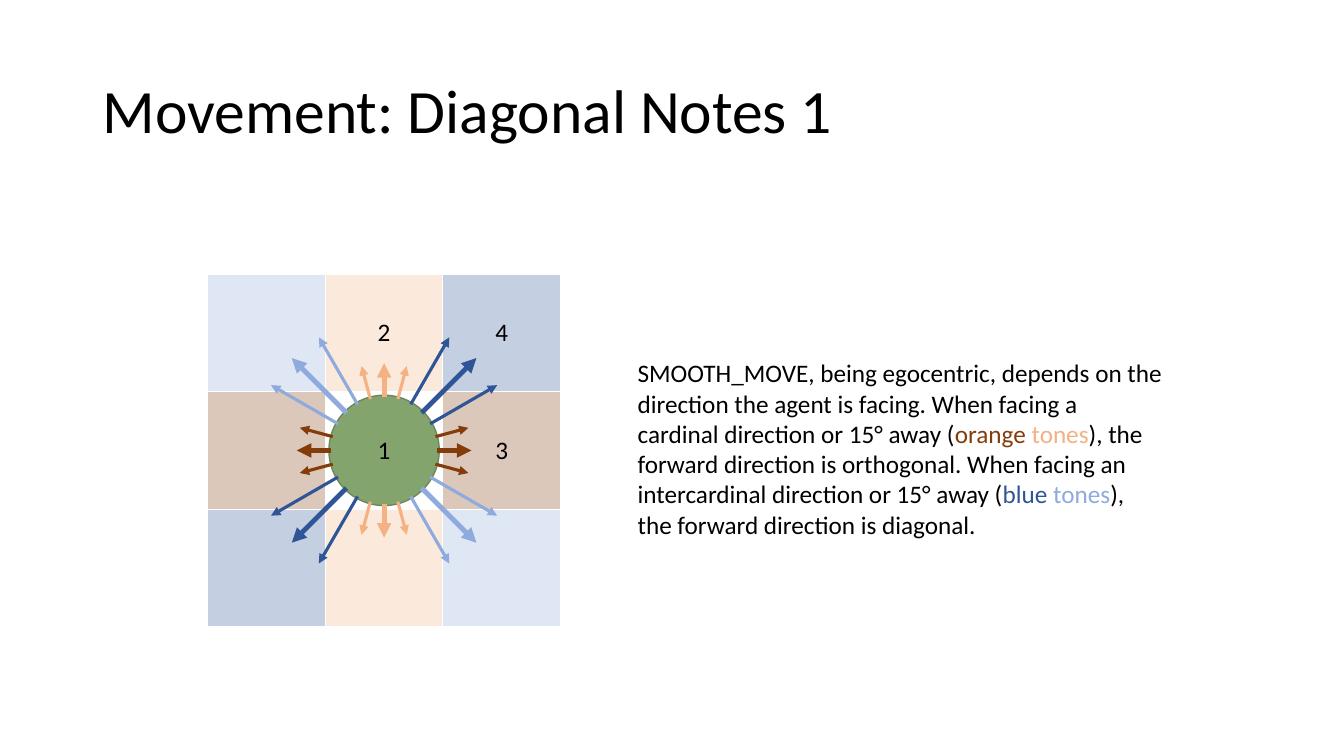
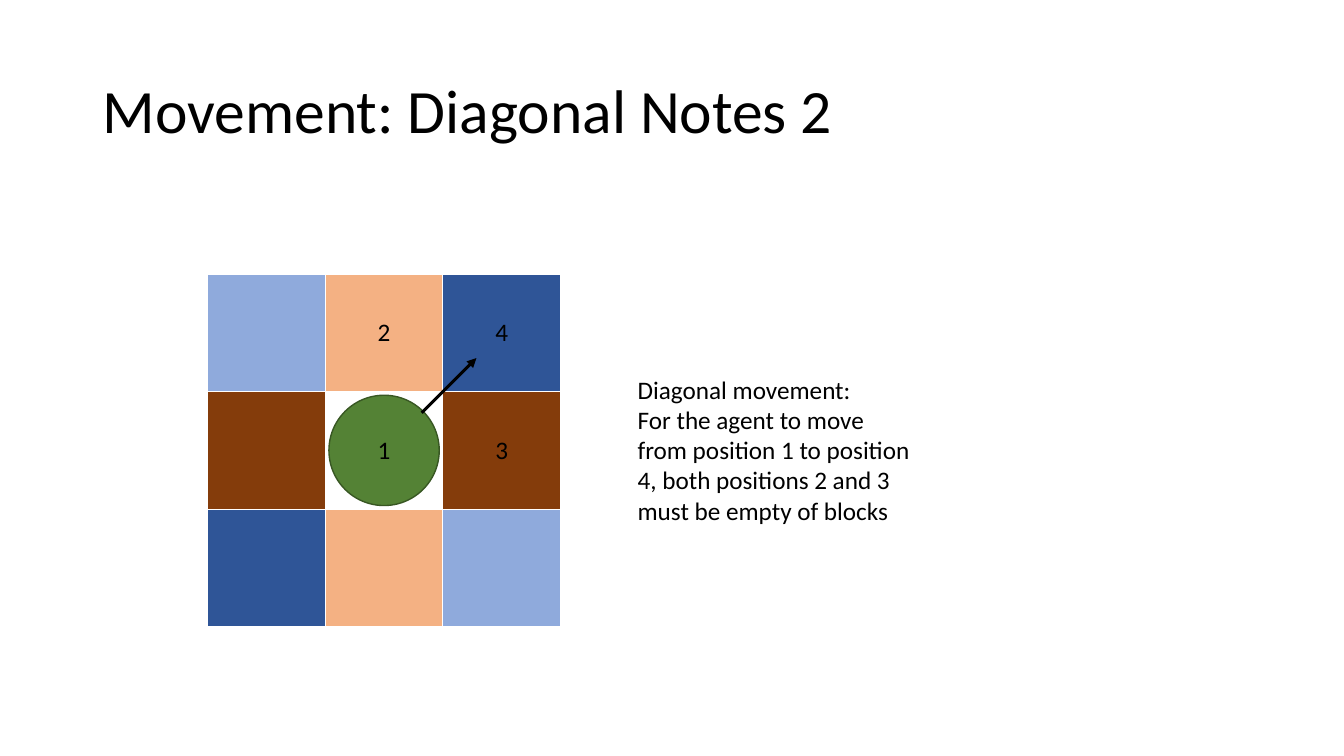
import math

from pptx import Presentation
from pptx import util as u
from pptx.dml.color import RGBColor
from pptx.enum import shapes, text
from pptx.oxml import ns, xmlchemy

BLACK = RGBColor(0x00, 0x00, 0x00)
WHITE = RGBColor(0xFF, 0xFF, 0xFF)
GREEN = RGBColor(0x54, 0x82, 0x35)
DARK_GREEN = RGBColor(0x38, 0x57, 0x23)
PEACH = RGBColor(0xF4, 0xB1, 0x83)
BROWN = RGBColor(0x84, 0x3C, 0x0B)
NAVY = RGBColor(0x2F, 0x55, 0x97)
SKY = RGBColor(0x8F, 0xAA, 0xDC)

CENTER_X, CENTER_Y = 9.68, 11.35
GRID_SIZE = 8.89
AGENT_SIZE = 2.78
ARROW_START = 1.34
CARDINAL_END = 2.2
DIAGONAL_END = 3.29
THICK, THIN = 3.5, 2.25

GRID = [
    [(SKY, ""), (PEACH, "2"), (NAVY, "4")],
    [(BROWN, ""), (None, "1"), (BROWN, "3")],
    [(NAVY, ""), (PEACH, ""), (SKY, "")],
]
DIRECTION_COLORS = [BROWN, NAVY, PEACH, SKY]


def add_element(parent, tag, **attributes):
    element = xmlchemy.OxmlElement(tag)
    for name, value in attributes.items():
        element.set(name, str(value))
    parent.append(element)
    return element


class NotesDeck:
    font = "Calibri"
    title_size = 44
    body_size = 18

    def __init__(self):
        self.deck = Presentation()
        self.deck.slide_width = u.Cm(33.87)
        self.deck.slide_height = u.Cm(19.05)
        self.page = None

    def add_span(self, para, words, size, color=BLACK):
        span = para.add_run()
        span.text = words
        span.font.name = self.font
        span.font.size = u.Pt(size)
        span.font.color.rgb = color

    def add_page(self, title):
        self.page = self.deck.slides.add_slide(self.deck.slide_layouts[5])
        box = self.page.shapes.title
        box.left, box.top = u.Cm(2.33), u.Cm(1.01)
        box.width, box.height = u.Cm(29.21), u.Cm(3.68)
        frame = box.text_frame
        frame.auto_size = text.MSO_AUTO_SIZE.NONE
        frame.vertical_anchor = text.MSO_ANCHOR.MIDDLE
        para = frame.paragraphs[0]
        para.alignment = text.PP_ALIGN.LEFT
        para.line_spacing = 0.9
        self.add_span(para, title, self.title_size)

    def add_agent(self):
        agent = self.page.shapes.add_shape(
            shapes.MSO_SHAPE.OVAL,
            u.Cm(CENTER_X - AGENT_SIZE / 2), u.Cm(CENTER_Y - AGENT_SIZE / 2),
            u.Cm(AGENT_SIZE), u.Cm(AGENT_SIZE))
        agent.shadow.inherit = False
        agent.fill.solid()
        agent.fill.fore_color.rgb = GREEN
        agent.line.color.rgb = DARK_GREEN
        agent.line.width = u.Pt(1)

    def add_grid(self, center_color=None, opacity=None):
        table = self.page.shapes.add_table(
            3, 3,
            u.Cm(CENTER_X - GRID_SIZE / 2), u.Cm(CENTER_Y - GRID_SIZE / 2),
            u.Cm(GRID_SIZE), u.Cm(GRID_SIZE)).table
        table.first_row = False
        table.horz_banding = False
        for row, entries in enumerate(GRID):
            for column, (color, label) in enumerate(entries):
                cell = table.cell(row, column)
                self.fill_cell(cell, color or center_color, opacity)
                if label:
                    cell.vertical_anchor = text.MSO_ANCHOR.MIDDLE
                    para = cell.text_frame.paragraphs[0]
                    para.alignment = text.PP_ALIGN.CENTER
                    self.add_span(para, label, self.body_size)

    def fill_cell(self, cell, color, opacity):
        properties = cell._tc.get_or_add_tcPr()
        for side in "LRTB":
            border = add_element(properties, f"a:ln{side}", w=u.Pt(1))
            fill = add_element(border, "a:solidFill")
            add_element(fill, "a:srgbClr", val=WHITE)
        if color is None:
            cell.fill.background()
        else:
            cell.fill.solid()
            cell.fill.fore_color.rgb = color
        fill = properties.find(ns.qn("a:solidFill"))
        if fill is not None and opacity is not None:
            add_element(fill[0], "a:alpha", val=opacity * 1000)
        if fill is not None:
            properties.remove(fill)
            properties.append(fill)

    def add_arrow(self, angle, end, color, width):
        across = math.cos(math.radians(angle))
        up = math.sin(math.radians(angle))
        points = [u.Cm(length) for radius in (ARROW_START, end)
                  for length in (CENTER_X + radius * across, CENTER_Y - radius * up)]
        arrow = self.page.shapes.add_connector(shapes.MSO_CONNECTOR.STRAIGHT, *points)
        arrow.line.color.rgb = color
        arrow.line.width = u.Pt(width)
        add_element(arrow.line._get_or_add_ln(), "a:tailEnd", type="triangle")
        add_element(arrow._element.spPr, "a:effectLst")

    def add_facing_arrows(self):
        for step in range(8):
            color = DIRECTION_COLORS[step % 4]
            end = DIAGONAL_END if step % 2 else CARDINAL_END
            for offset, width in ((-15, THIN), (0, THICK), (15, THIN)):
                self.add_arrow(step * 45 + offset, end, color, width)

    def add_text(self, top, width, height, paragraphs):
        box = self.page.shapes.add_textbox(
            u.Cm(15.82), u.Cm(top), u.Cm(width), u.Cm(height))
        frame = box.text_frame
        frame.word_wrap = True
        for index, spans in enumerate(paragraphs):
            para = frame.add_paragraph() if index else frame.paragraphs[0]
            for words, color in spans:
                self.add_span(para, words, self.body_size, color)


def main():
    notes = NotesDeck()

    notes.add_page("Movement: Diagonal Notes 1")
    notes.add_agent()
    notes.add_grid(center_color=WHITE, opacity=28)
    notes.add_facing_arrows()
    notes.add_text(8.89, 13.72, 4.88, [[
        ("SMOOTH_MOVE, being egocentric, depends on the direction the agent is "
         "facing. When facing a cardinal direction or 15° away (", BLACK),
        ("orange ", BROWN),
        ("tones", PEACH),
        ("), the forward direction is orthogonal. When facing an intercardinal "
         "direction or 15° away (", BLACK),
        ("blue ", NAVY),
        ("tones", SKY),
        ("), the forward direction is diagonal.", BLACK),
    ]])

    notes.add_page("Movement: Diagonal Notes 2")
    notes.add_agent()
    notes.add_grid()
    notes.add_arrow(45, DIAGONAL_END, BLACK, THIN)
    notes.add_text(9.3, 7.44, 4.11, [
        [("Diagonal movement:", BLACK)],
        [("For the agent to move from position 1 to position 4, both positions "
          "2 and 3 must be empty of blocks", BLACK)],
    ])

    notes.deck.save("out.pptx")


if __name__ == "__main__":
    main()
